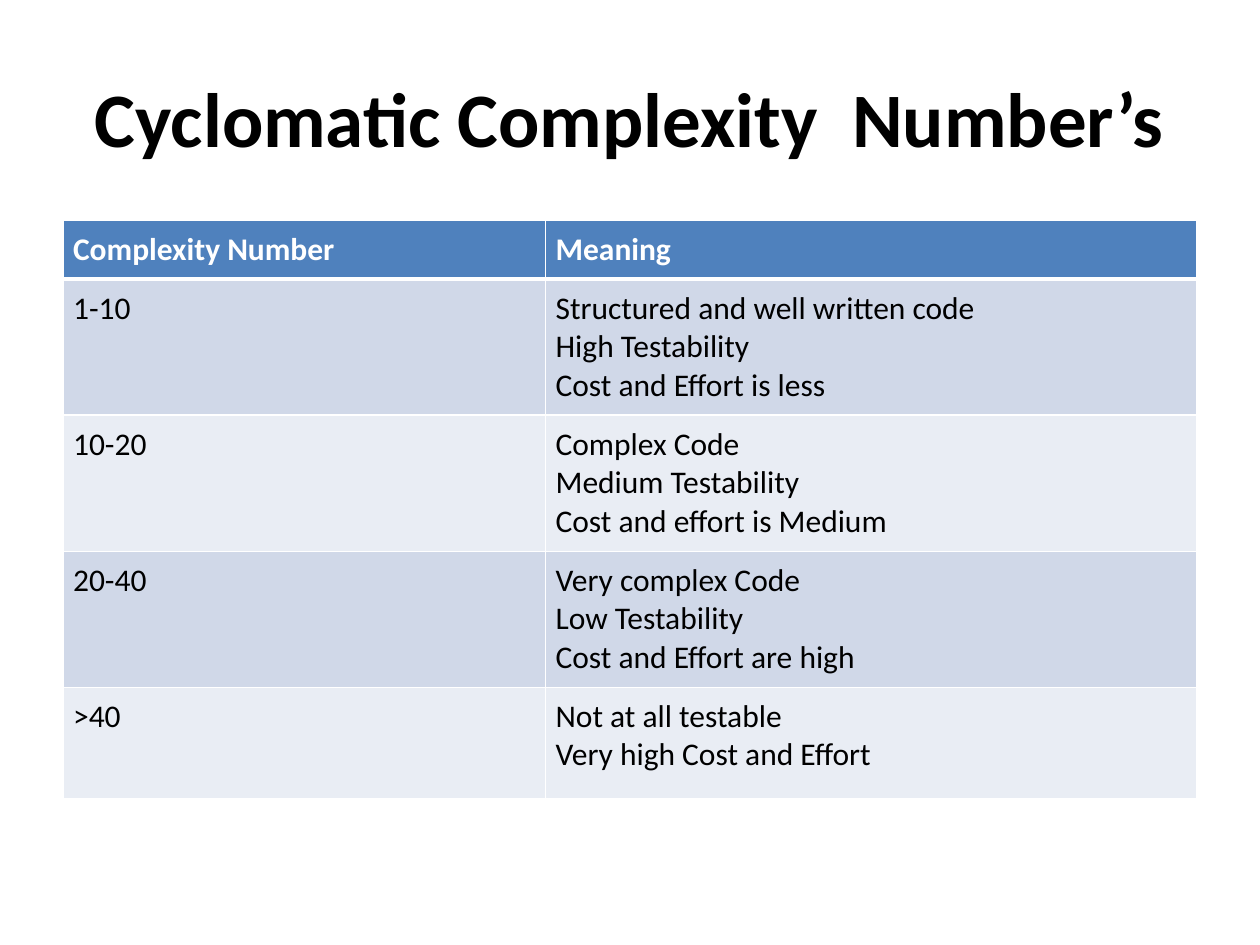
from lxml import etree
from pptx import Presentation, util as u
from pptx.dml.color import RGBColor
from pptx.enum import text
from pptx.oxml import ns

# Content
TITLE = "Cyclomatic Complexity  Number’s"
ROWS = [
    ("Complexity Number", ["Meaning"]),
    ("1-10", ["Structured and well written code", "High Testability",
              "Cost and Effort is less"]),
    ("10-20", ["Complex Code", "Medium Testability", "Cost and effort is Medium"]),
    ("20-40", ["Very complex Code", "Low Testability", "Cost and Effort are high"]),
    (">40", ["Not at all testable", "Very high Cost and Effort"]),
]

# Measures in points
LEFT, WIDTH = 36, 648
COLUMN_WIDTHS = [275.76, 372.24]
ROW_HEIGHTS = [33.5, 77.8, 77.8, 77.8, 63.4]
TABLE_TOP = 126
INSET = 5.76

# Colours and formats
WHITE = RGBColor(0xFF, 0xFF, 0xFF)
BLACK = RGBColor(0, 0, 0)
HEADER_FILL = RGBColor(0x4F, 0x81, 0xBD)
BAND_FILLS = [RGBColor(0xE9, 0xED, 0xF4), RGBColor(0xD0, 0xD8, 0xE8)]
TITLE_FONT = {"name": "Calibri", "size": u.Pt(44), "bold": True}
HEADER_FONT = {"name": "Calibri", "size": u.Pt(18), "bold": True}
BODY_FONT = {**HEADER_FONT, "bold": False}
CELL_FORMAT = {f"margin_{side}": u.Pt(INSET)
               for side in ("left", "top", "right", "bottom")}


def apply(target, values):
    for name, value in values.items():
        setattr(target, name, value)


def write(frame, words, font, colour):
    """Fill a text frame; a vertical tab in the words is a line break."""
    frame.text = words
    for span in frame.paragraphs[0].runs:
        apply(span.font, font)
        span.font.color.rgb = colour


def add_borders(cell, bottom, top):
    properties = cell._tc.get_or_add_tcPr()
    for side, width in (("L", 1), ("R", 1), ("T", top), ("B", bottom)):
        line = etree.SubElement(properties, ns.qn(f"a:ln{side}"), w=str(u.Pt(width)))
        fill = etree.SubElement(line, ns.qn("a:solidFill"))
        etree.SubElement(fill, ns.qn("a:srgbClr"), val=str(WHITE))


deck = Presentation()
deck.slide_width, deck.slide_height = u.Pt(720), u.Pt(540)
page = deck.slides.add_slide(deck.slide_layouts[6])

# Title
box = page.shapes.add_textbox(u.Pt(LEFT), u.Pt(21.6), u.Pt(WIDTH), u.Pt(90))
apply(box.text_frame, {"word_wrap": True,
                       "vertical_anchor": text.MSO_ANCHOR.MIDDLE})
write(box.text_frame, TITLE, TITLE_FONT, BLACK)
box.text_frame.paragraphs[0].alignment = text.PP_ALIGN.CENTER

# Table
table = page.shapes.add_table(
    len(ROWS), len(COLUMN_WIDTHS), u.Pt(LEFT), u.Pt(TABLE_TOP),
    u.Pt(WIDTH), u.Pt(sum(ROW_HEIGHTS))).table
for column, width in zip(table.columns, COLUMN_WIDTHS):
    column.width = u.Pt(width)
for row, height in zip(table.rows, ROW_HEIGHTS):
    row.height = u.Pt(height)

# Cells: a header row, then alternating bands
for r, (number, meanings) in enumerate(ROWS):
    header = r == 0
    for c, words in enumerate((number, "\v".join(meanings))):
        cell = table.cell(r, c)
        apply(cell, CELL_FORMAT)
        add_borders(cell, bottom=3 if header else 1, top=3 if r == 1 else 1)
        cell.fill.solid()
        cell.fill.fore_color.rgb = HEADER_FILL if header else BAND_FILLS[r % 2]
        write(cell.text_frame, words, HEADER_FONT if header else BODY_FONT,
              WHITE if header else BLACK)

deck.save("out.pptx")
